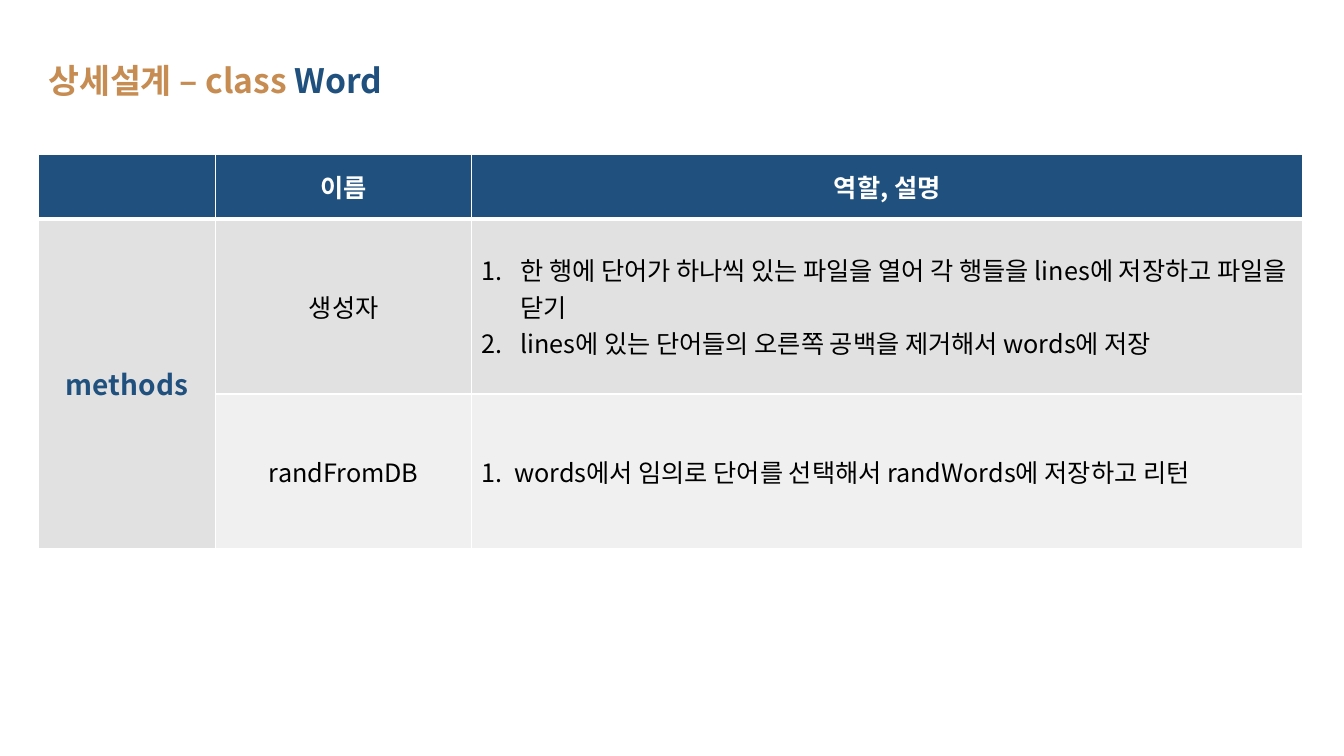
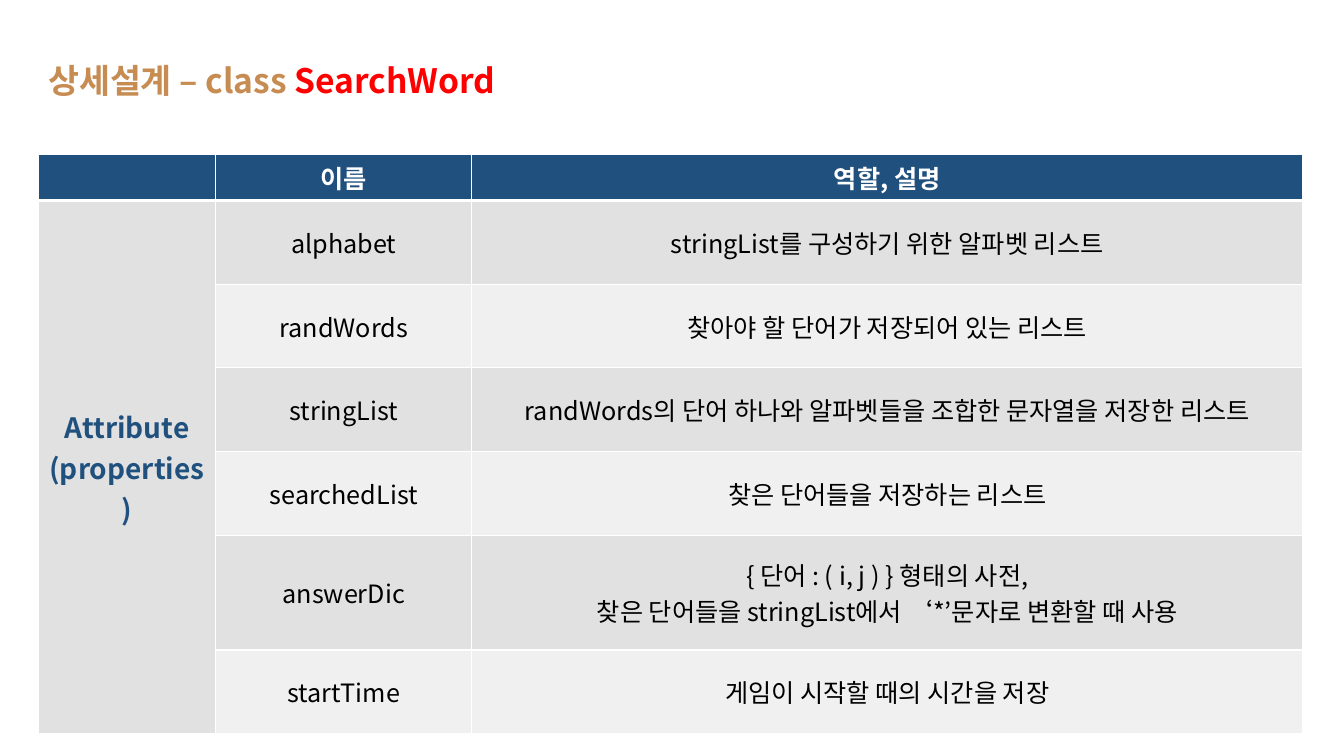
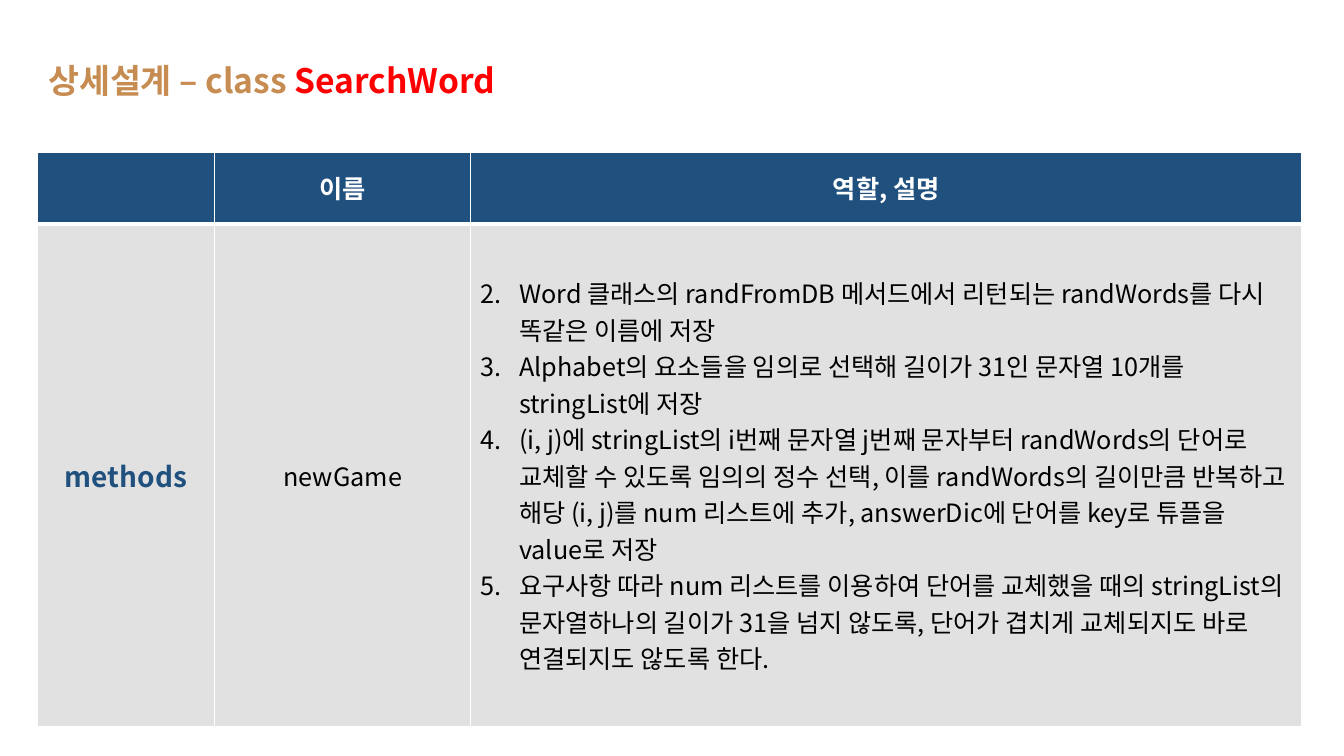
import pptx
import pptx.util
import pptx.dml.color
import pptx.enum.text
import pptx.oxml.ns
import lxml.etree

Inches, Pt = pptx.util.Inches, pptx.util.Pt
CENTER = pptx.enum.text.PP_ALIGN.CENTER
LEFT = pptx.enum.text.PP_ALIGN.LEFT
MIDDLE = pptx.enum.text.MSO_ANCHOR.MIDDLE

# Shared look
FONT = "Noto Sans CJK KR"
NAVY, TAN, RED, WHITE, BLACK = "20517E", "C68C52", "FF0000", "FFFFFF", "000000"
BANDS = ("E1E1E1", "F0F0F0")
TITLE = {"size": 24, "bold": True}
HEAD = {"size": 18, "bold": True, "color": WHITE}
GROUP = {"size": 20, "bold": True, "color": NAVY}
BODY = {"size": 18, "bold": False, "color": BLACK}
COLUMNS = (1.76, 2.54, 8.24)
HEADER = ("", "이름", "역할, 설명")

# Content: each row is (name, lines, height); "start" and "hang" make numbered lists
SLIDES = [
    {
        "name": "Word", "color": NAVY, "title_width": 3.71,
        "at": (0.38, 1.53), "head_height": 0.64, "group": ["methods"],
        "rows": [
            ("생성자", ["한 행에 단어가 하나씩 있는 파일을 열어 각 행들을 lines에 저장하고 파일을 닫기",
                     "lines에 있는 단어들의 오른쪽 공백을 제거해서 words에 저장"],
             1.74, {"start": 1, "hang": 0.38}),
            ("randFromDB", ["words에서 임의로 단어를 선택해서 randWords에 저장하고 리턴"],
             1.53, {"start": 1, "hang": 0.32}),
        ],
    },
    {
        "name": "SearchWord", "color": RED, "title_width": 4.77,
        "at": (0.38, 1.53), "head_height": 0.46, "group": ["Attribute", "(properties)"],
        "rows": [
            ("alphabet", ["stringList를 구성하기 위한 알파벳 리스트"], 0.83, None),
            ("randWords", ["찾아야 할 단어가 저장되어 있는 리스트"], 0.83, None),
            ("stringList", ["randWords의 단어 하나와 알파벳들을 조합한 문자열을 저장한 리스트"], 0.83, None),
            ("searchedList", ["찾은 단어들을 저장하는 리스트"], 0.83, None),
            ("answerDic", ["{ 단어 : ( i, j ) } 형태의 사전,",
                           "찾은 단어들을 stringList에서 ‘*’문자로 변환할 때 사용"], 1.14, None),
            ("startTime", ["게임이 시작할 때의 시간을 저장"], 0.83, None),
        ],
    },
    {
        "name": "SearchWord", "color": RED, "title_width": 4.77,
        "at": (0.37, 1.51), "head_height": 0.71, "group": ["methods"],
        "rows": [
            ("newGame", [
                "Word 클래스의 randFromDB 메서드에서 리턴되는 randWords를 다시 똑같은 이름에 저장",
                "Alphabet의 요소들을 임의로 선택해 길이가 31인 문자열 10개를 stringList에 저장",
                "(i, j)에 stringList의 i번째 문자열 j번째 문자부터 randWords의 단어로 교체할 수 있도록 "
                "임의의 정수 선택, 이를 randWords의 길이만큼 반복하고 해당 (i, j)를 num 리스트에 추가, "
                "answerDic에 단어를 key로 튜플을 value로 저장",
                "요구사항 따라 num 리스트를 이용하여 단어를 교체했을 때의 stringList의 문자열하나의 길이가 "
                "31을 넘지 않도록, 단어가 겹치게 교체되지도 바로 연결되지도 않도록 한다.",
            ], 4.99, {"start": 2, "hang": 0.38}),
        ],
    },
]


def rgb(color):
    return pptx.dml.color.RGBColor.from_string(color)


def add_xml(parent, tag, **attrs):
    return lxml.etree.SubElement(parent, pptx.oxml.ns.qn(tag), attrs)


def add_run(p, text, style):
    r = p.add_run()
    r.text = text
    values = {"name": FONT, "size": Pt(style["size"]), "bold": style["bold"]}
    for key, value in values.items():
        setattr(r.font, key, value)
    r.font.color.rgb = rgb(style["color"])
    add_xml(r.font._element, "a:ea", typeface=FONT)


def number(p, start, hang):
    pPr = p._p.get_or_add_pPr()
    pPr.set("marL", str(Inches(hang)))
    pPr.set("indent", str(-Inches(hang)))
    add_xml(pPr, "a:buFont", typeface="+mj-lt")
    add_xml(pPr, "a:buAutoNum", type="arabicPeriod", startAt=str(start))


def set_borders(cell, top, bottom):
    tcPr = cell._tc.get_or_add_tcPr()
    sides = {"a:lnL": 1, "a:lnR": 1, "a:lnT": top, "a:lnB": bottom}
    for i, (tag, width) in enumerate(sides.items()):
        ln = add_xml(tcPr, tag, w=str(Pt(width)))
        add_xml(add_xml(ln, "a:solidFill"), "a:srgbClr", val=WHITE)
        tcPr.insert(i, ln)


def fill_cell(cell, lines, style, fill, numbering=None):
    cell.fill.solid()
    cell.fill.fore_color.rgb = rgb(fill)
    cell.vertical_anchor = MIDDLE
    tf = cell.text_frame
    for i, line in enumerate(lines):
        p = tf.add_paragraph() if i else tf.paragraphs[0]
        p.alignment = LEFT if numbering else CENTER
        if numbering:
            number(p, **numbering)
        if line:
            add_run(p, line, style)


def add_title(slide, name, color, width):
    tf = slide.shapes.add_textbox(Inches(0.38), Inches(0.55), Inches(width), Inches(0.5)).text_frame
    tf.word_wrap = False
    tf.auto_size = pptx.enum.text.MSO_AUTO_SIZE.SHAPE_TO_FIT_TEXT
    for text, run_color in (("상세설계 – class ", TAN), (name, color)):
        add_run(tf.paragraphs[0], text, {**TITLE, "color": run_color})


def add_class_table(slide, data):
    rows = data["rows"]
    heights = [data["head_height"]] + [row[2] for row in rows]
    left, top = data["at"]
    table = slide.shapes.add_table(len(heights), len(COLUMNS), Inches(left), Inches(top),
                                   Inches(sum(COLUMNS)), Inches(sum(heights))).table
    for column, width in zip(table.columns, COLUMNS):
        column.width = Inches(width)
    for row, height in zip(table.rows, heights):
        row.height = Inches(height)

    # Header row, then one group cell beside the banded rows
    for c, text in enumerate(HEADER):
        fill_cell(table.cell(0, c), [text], HEAD, NAVY)
    if len(rows) > 1:
        table.cell(1, 0).merge(table.cell(len(rows), 0))
    fill_cell(table.cell(1, 0), data["group"], GROUP, BANDS[0])
    for i, (name, lines, _, numbering) in enumerate(rows):
        band = BANDS[i % 2]
        fill_cell(table.cell(i + 1, 1), [name], BODY, band)
        fill_cell(table.cell(i + 1, 2), lines, BODY, band, numbering)

    # Thin white grid with a thick rule under the header
    for r in range(len(heights)):
        for c in range(len(COLUMNS)):
            set_borders(table.cell(r, c), 3 if r == 1 else 1, 3 if r == 0 else 1)


def main():
    prs = pptx.Presentation()
    prs.slide_width, prs.slide_height = Inches(13.33), Inches(7.5)
    for data in SLIDES:
        slide = prs.slides.add_slide(prs.slide_layouts[6])
        add_title(slide, data["name"], data["color"], data["title_width"])
        add_class_table(slide, data)
    prs.save("out.pptx")


if __name__ == "__main__":
    main()
